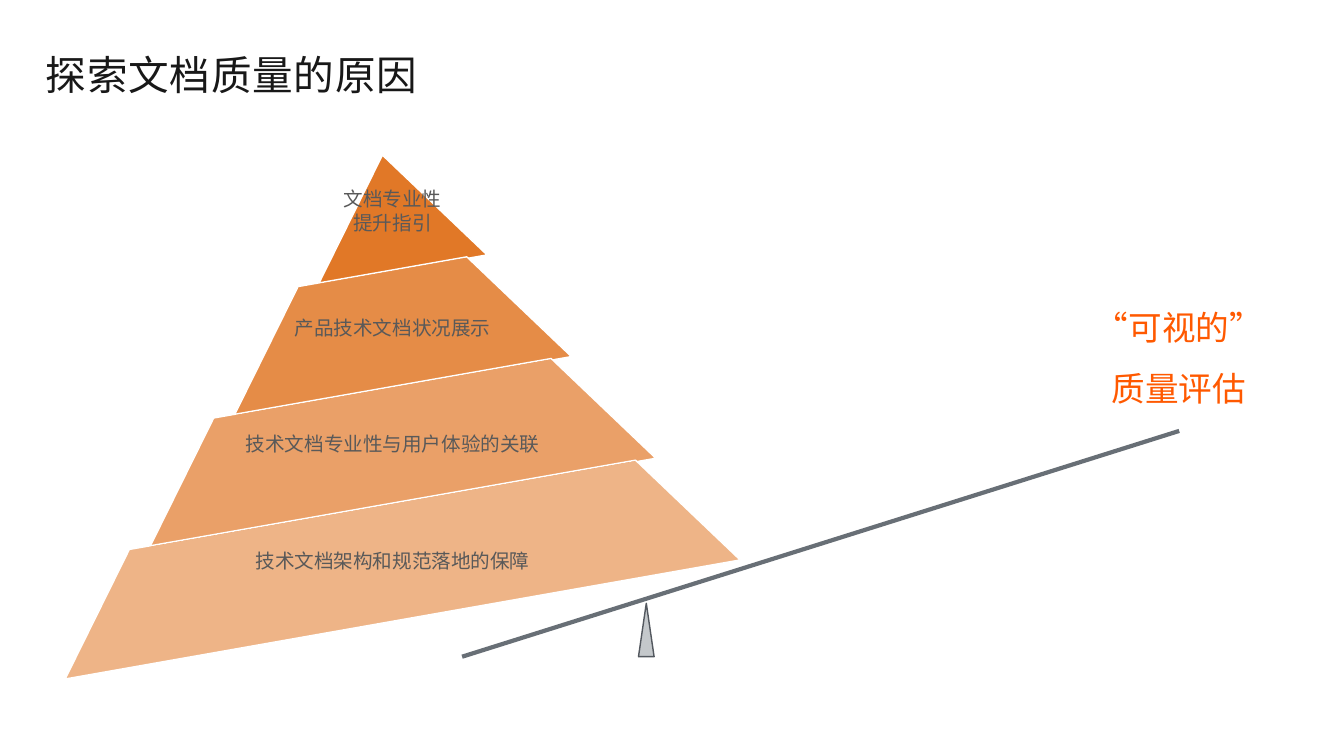
from lxml import etree
from pptx import Presentation
from pptx.dml.color import RGBColor
from pptx.enum import shapes, text
from pptx.oxml.ns import qn
from pptx.util import Inches, Pt

FONT = "Noto Sans CJK JP"
WHITE = RGBColor(0xFF, 0xFF, 0xFF)
BLACK = RGBColor(0x18, 0x18, 0x18)
GREY = RGBColor(0x59, 0x59, 0x59)
ORANGE = RGBColor(0xDE, 0x6A, 0x10)
BRIGHT = RGBColor(0xFF, 0x59, 0x00)
STEEL = RGBColor(0x68, 0x6F, 0x76)
SILVER = RGBColor(0xC4, 0xC8, 0xCB)
DARK = RGBColor(0x53, 0x58, 0x5F)

CENTER, TOP = 7.79, 3.06  # pyramid axis and top
STEP, HEIGHT = 3.4, 2.31  # width gained per tier, tier height
PITCH = 2.313
TILT = -10
TIERS = [  # lines, opacity in percent, label width
    (["文档专业性", "提升指引"], 90, 3.4),
    (["产品技术文档状况展示"], 77, 4.42),
    (["技术文档专业性与用户体验的关联"], 63, 6.63),
    (["技术文档架构和规范落地的保障"], 50, 8.84),
]


def write(frame, lines, size, color, spacing, align=None, after=None):
    """Fill a text frame with one paragraph for each line."""
    frame.vertical_anchor = text.MSO_ANCHOR.MIDDLE
    for i, line in enumerate(lines):
        para = frame.paragraphs[0] if i == 0 else frame.add_paragraph()
        para.alignment = align
        para.line_spacing = spacing
        para.space_after = after
        run = para.add_run()
        run.text = line
        font = run.font
        font.name, font.size = FONT, Pt(size)
        font.color.rgb = color
        etree.SubElement(font._element, qn("a:ea"), typeface=FONT)


def add_box(slide, box, inset, wrap=True):
    frame = slide.shapes.add_textbox(*map(Inches, box)).text_frame
    frame.word_wrap = wrap
    frame.margin_left = frame.margin_right = Inches(inset)
    frame.margin_top = frame.margin_bottom = Inches(inset)
    return frame


def add_shape(slide, kind, box, fill, line=None):
    shape = slide.shapes.add_shape(kind, *map(Inches, box))
    shape.shadow.inherit = False
    shape.fill.solid()
    shape.fill.fore_color.rgb = fill
    if line is None:
        shape.line.fill.background()
    else:
        shape.line.color.rgb = line
        shape.line.width = Pt(2)
    return shape


def add_title(slide):
    frame = add_box(slide, (0.85, 0.74, 7.58, 1.28), 0.06, wrap=False)
    write(frame, ["探索文档质量的原因"], 58, BLACK, 1.2)
    frame.paragraphs[0].runs[0].font._element.set("spc", "120")


def add_tier(slide, rank, lines, alpha, wide):
    """Add a tilted trapezoid with a level label over it."""
    width, top = STEP * (rank + 1), TOP + PITCH * rank
    tier = add_shape(slide, shapes.MSO_SHAPE.TRAPEZOID,
                     (CENTER - width / 2, top, width, HEIGHT), ORANGE, WHITE)
    tier.adjustments[0] = STEP / 2 / HEIGHT
    tier.rotation = TILT
    color = tier.fill._xPr.find(".//" + qn("a:srgbClr"))
    etree.SubElement(color, qn("a:alpha"), val=str(alpha * 1000))
    label = add_box(slide, (CENTER - wide / 2, top, wide, HEIGHT), 0.04)
    write(label, lines, 28, GREY, 0.9, text.PP_ALIGN.CENTER, Pt(4))


def add_lever(slide):
    ends = map(Inches, (9.17, 13.03, 23.4, 8.55))
    beam = slide.shapes.add_connector(shapes.MSO_CONNECTOR.STRAIGHT, *ends)
    beam.line.color.rgb = STEEL
    beam.line.width = Pt(6)
    etree.SubElement(beam._element.spPr, qn("a:effectLst"))
    add_shape(slide, shapes.MSO_SHAPE.ISOSCELES_TRIANGLE,
              (12.67, 11.97, 0.31, 1.06), SILVER, DARK)


def add_goal(slide):
    goal = add_shape(slide, shapes.MSO_SHAPE.RECTANGLE,
                     (21.11, 5.69, 4.57, 2.41), WHITE)
    write(goal.text_frame, ["“可视的”", "质量评估"], 48, BRIGHT, 1.5,
          text.PP_ALIGN.CENTER)


def main():
    deck = Presentation()
    deck.slide_width, deck.slide_height = Inches(26.67), Inches(15)
    slide = deck.slides.add_slide(deck.slide_layouts[6])
    add_title(slide)
    for rank, tier in enumerate(TIERS):
        add_tier(slide, rank, *tier)
    add_lever(slide)
    add_goal(slide)
    deck.save("out.pptx")


if __name__ == "__main__":
    main()
